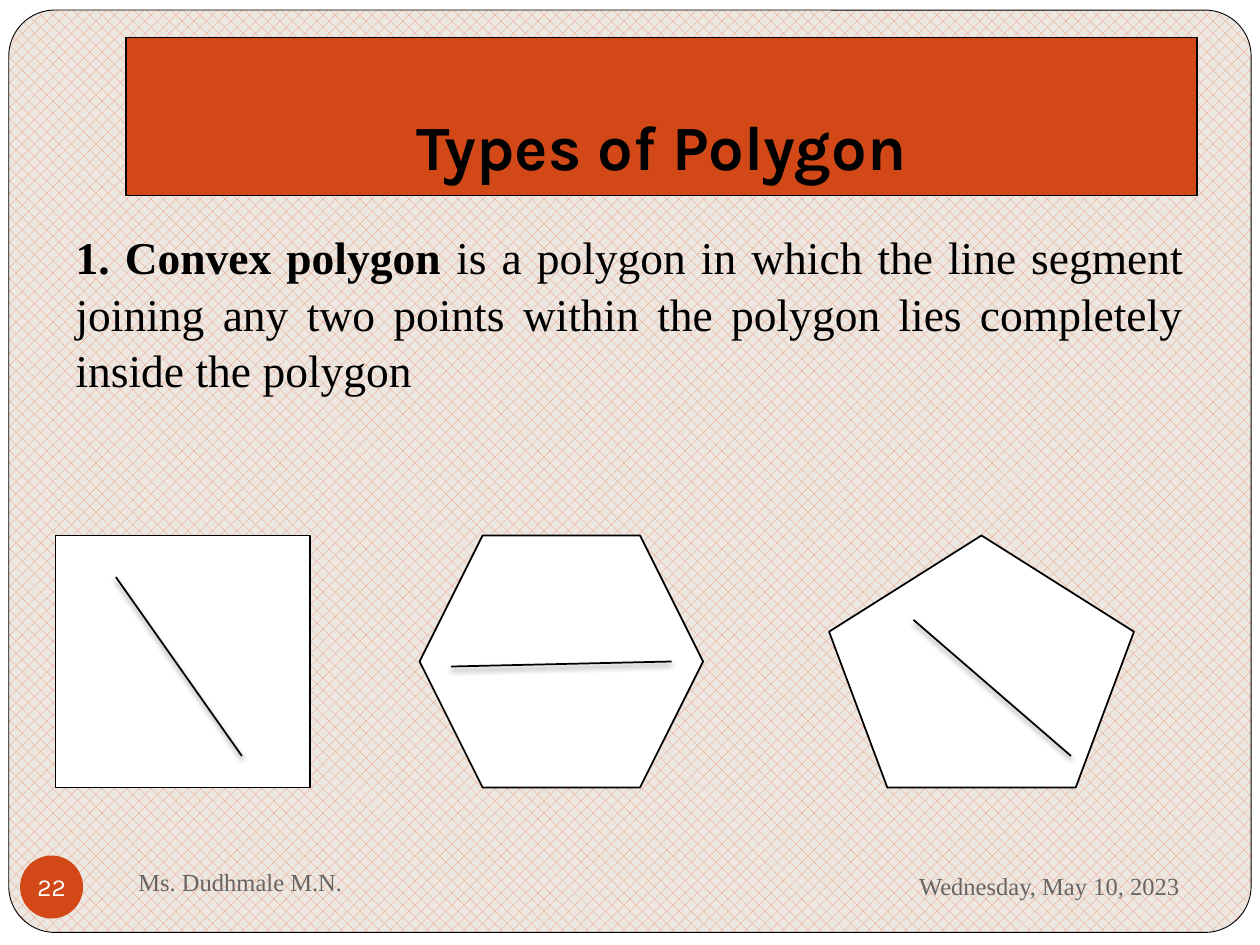
from pptx import Presentation
from pptx import util as u
from pptx.dml.color import RGBColor
from pptx.enum import dml, shapes, text
from pptx.oxml import parse_xml
from pptx.oxml.ns import nsdecls

THEME = {
    "accent": "D34817", "ink": "000000", "paper": "FFFFFF", "muted": "696464",
    "weave": "EF8C6A", "sand": "ECE8E1",
    "heading_font": "Karla", "body_font": "Times New Roman",
    "title_size": 36, "body_size": 26, "footer_size": 14,
}

TITLE = "Types of Polygon"
DEFINITION = [
    ("1. Convex polygon ", True),
    ("is a polygon in which the line segment joining any two points "
     "within the polygon lies completely inside the polygon", False),
]
POLYGONS = [
    (shapes.MSO_SHAPE.RECTANGLE, 0.44, 2.02, (0.92, 4.58, 1.92, 6)),
    (shapes.MSO_SHAPE.HEXAGON, 3.33, 2.25, (3.58, 5.29, 5.33, 5.25)),
    (shapes.MSO_SHAPE.REGULAR_PENTAGON, 6.58, 2.42, (7.25, 4.92, 8.5, 6)),
]
POLYGON_TOP, POLYGON_HEIGHT = 4.25, 2
FOOTERS = [
    ("Ms. Dudhmale M.N.", (1, 6.75, 4.33, 0.5), text.PP_ALIGN.LEFT),
    ("Wednesday, May 10, 2023", (6.75, 6.77, 2.71, 0.52), text.PP_ALIGN.RIGHT),
]
PAGE_NUMBER = "22"


def color(key):
    return RGBColor.from_string(THEME[key])


def inches(values):
    return [u.Inches(value) for value in values]


def assign(target, **values):
    for key, value in values.items():
        setattr(target, key, value)


def place(part, *box):
    assign(part, **dict(zip(("left", "top", "width", "height"), inches(box))))


def paint(part, fill, line_width=None):
    part.fill.solid()
    part.fill.fore_color.rgb = color(fill)
    outline(part, line_width)


def outline(part, line_width):
    if line_width:
        part.line.color.rgb = color("ink")
        part.line.width = u.Pt(line_width)
    else:
        part.line.fill.background()


def weave(fill):
    fill.patterned()
    fill.pattern = dml.MSO_PATTERN.PERCENT_30
    fill.fore_color.rgb = color("weave")
    fill.back_color.rgb = color("sand")


def write(frame, runs, role, font, ink, align, anchor, wrap=True):
    assign(frame, word_wrap=wrap, auto_size=text.MSO_AUTO_SIZE.NONE,
           vertical_anchor=anchor)
    paragraph = frame.paragraphs[0]
    paragraph.alignment = align
    for words, bold in runs:
        run = paragraph.add_run()
        run.text = words
        assign(run.font, name=THEME[font], size=u.Pt(THEME[role]), bold=bold)
        run.font.color.rgb = color(ink)
    return paragraph


def add_shape(slide, kind, *box):
    shape = slide.shapes.add_shape(kind, *inches(box))
    shape.shadow.inherit = False
    return shape


def add_panels(slide):
    weave(slide.background.fill)
    sheet = add_shape(slide, shapes.MSO_SHAPE.RECTANGLE, 0, 0, 10, 7.5)
    paint(sheet, "paper")
    panel = add_shape(slide, shapes.MSO_SHAPE.ROUNDED_RECTANGLE, 0.07, 0.08, 9.86, 7.32)
    panel.adjustments[0] = 0.05
    weave(panel.fill)
    outline(panel, 0.5)
    tree = sheet.element.getparent()
    for index, backdrop in enumerate((sheet, panel), start=2):
        tree.insert(index, backdrop.element)


def add_heading(slide):
    title = slide.shapes.title
    place(title, 1, 0.3, 8.5, 1.25)
    paint(title, "accent", 0.75)
    title.text_frame.margin_bottom = u.Inches(0.1)
    write(title.text_frame, [(TITLE, True)], "title_size", "heading_font", "ink",
          text.PP_ALIGN.CENTER, text.MSO_ANCHOR.BOTTOM)


def add_definition(slide):
    body = slide.placeholders[1]
    place(body, 0.5, 1.75, 9, 1.83)
    paragraph = write(body.text_frame, DEFINITION, "body_size", "body_font", "ink",
                      text.PP_ALIGN.JUSTIFY, text.MSO_ANCHOR.TOP)
    assign(paragraph, space_before=u.Pt(0), line_spacing=1.04)
    properties = paragraph._p.get_or_add_pPr()
    properties.set("marL", "0")
    properties.set("indent", "0")
    properties.append(parse_xml(f"<a:buNone {nsdecls('a')}/>"))


def add_segment(slide, ends):
    segment = slide.shapes.add_connector(shapes.MSO_CONNECTOR.STRAIGHT, *inches(ends))
    outline(segment, 1)
    segment._element.spPr.append(parse_xml(
        f"<a:effectLst {nsdecls('a')}>"
        f'<a:outerShdw blurRad="{u.Pt(3)}" dist="{u.Pt(2)}" dir="5400000" rotWithShape="0">'
        f'<a:srgbClr val="{THEME["ink"]}"><a:alpha val="50000"/></a:srgbClr>'
        "</a:outerShdw></a:effectLst>"))


def add_polygons(slide):
    for kind, left, width, _ in POLYGONS:
        polygon = add_shape(slide, kind, left, POLYGON_TOP, width, POLYGON_HEIGHT)
        paint(polygon, "paper", 1)
    for *_, ends in POLYGONS:
        add_segment(slide, ends)


def add_footer(slide):
    for words, box, align in FOOTERS:
        footer = slide.shapes.add_textbox(*inches(box))
        write(footer.text_frame, [(words, False)], "footer_size", "body_font", "muted",
              align, text.MSO_ANCHOR.MIDDLE)
    badge = add_shape(slide, shapes.MSO_SHAPE.OVAL, 0.16, 6.79, 0.5, 0.5)
    paint(badge, "accent")
    assign(badge.text_frame, margin_left=0, margin_top=0, margin_right=0, margin_bottom=0)
    write(badge.text_frame, [(PAGE_NUMBER, False)], "footer_size", "heading_font", "paper",
          text.PP_ALIGN.CENTER, text.MSO_ANCHOR.MIDDLE, wrap=False)


def main():
    deck = Presentation()
    assign(deck, slide_width=u.Inches(10), slide_height=u.Inches(7.5))
    slide = deck.slides.add_slide(deck.slide_layouts[1])
    add_panels(slide)
    add_heading(slide)
    add_definition(slide)
    add_polygons(slide)
    add_footer(slide)
    deck.save("out.pptx")


if __name__ == "__main__":
    main()
